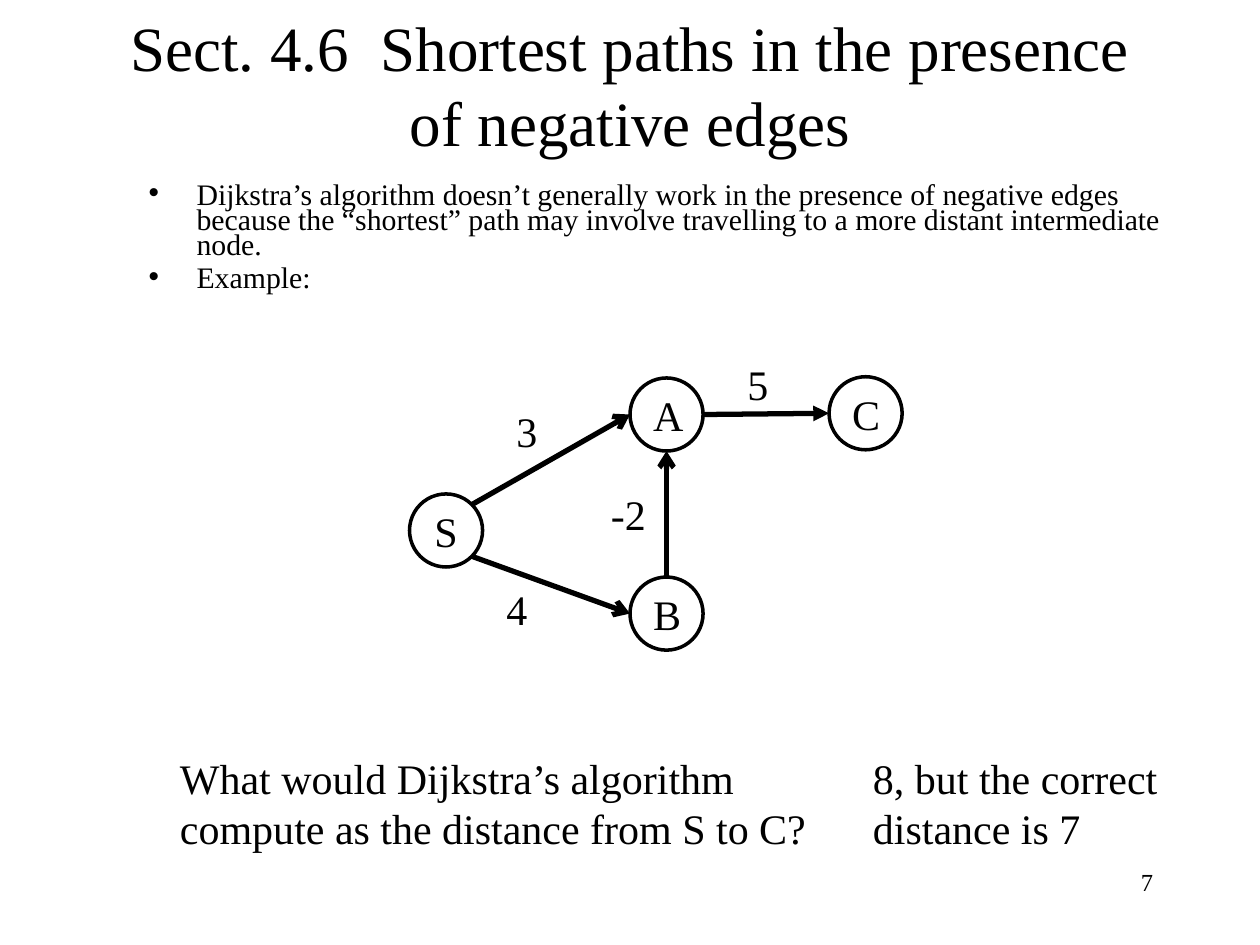
from math import cos, radians, sin

from pptx import Presentation
from pptx.dml.color import RGBColor
from pptx.enum.shapes import MSO_CONNECTOR, MSO_SHAPE
from pptx.enum.text import MSO_ANCHOR, MSO_AUTO_SIZE, PP_ALIGN
from pptx.oxml.xmlchemy import OxmlElement
from pptx.util import Inches, Pt

BLACK = "000000"
WHITE = "FFFFFF"
NODE_SIZE = 0.58
NODES = {"A": (1.75, 0.2), "B": (1.75, 1.78), "S": (0, 1.12), "C": (3.33, 0.19)}
EDGES = [
    ("S", -45, "A", 180, "arrow"),
    ("B", -90, "A", 90, "arrow"),
    ("S", 45, "B", 180, "arrow"),
    ("A", 0, "C", 180, "triangle"),
]
WEIGHTS = {"-2": (1.5, 1.03), "4": (0.67, 1.78), "3": (0.75, 0.37), " 5": (2.5, 0)}


def color(value):
    return RGBColor.from_string(value)


def set_attributes(target, values):
    for name, value in values.items():
        setattr(target, name, value)


def place(shape, box):
    names = ("left", "top", "width", "height")
    set_attributes(shape, dict(zip(names, map(Inches, box))))


def write(shape, lines, size, alignment=PP_ALIGN.LEFT, anchor=MSO_ANCHOR.TOP,
          auto_size=MSO_AUTO_SIZE.NONE, **paragraph_format):
    frame = shape.text_frame
    set_attributes(frame, {"word_wrap": True, "auto_size": auto_size,
                           "vertical_anchor": anchor})
    frame.text = "\n".join(lines)
    for paragraph in frame.paragraphs:
        set_attributes(paragraph, {"alignment": alignment, **paragraph_format})
        set_attributes(paragraph.font, {"name": "Times New Roman", "size": Pt(size)})
        paragraph.font.color.rgb = color(BLACK)


def add_text(slide, box, text, size=24, **text_format):
    shape = slide.shapes.add_textbox(*map(Inches, box))
    write(shape, [text], size, **text_format)


def fill_title(slide, box):
    title = slide.shapes.title
    place(title, box)
    write(title, ["Sect. 4.6  Shortest paths in the presence of negative edges"], 36,
          alignment=PP_ALIGN.CENTER, anchor=MSO_ANCHOR.MIDDLE)


def fill_body(slide, box):
    body = slide.placeholders[1]
    place(body, box)
    lines = [
        "Dijkstra’s algorithm doesn’t generally work in the presence of negative edges "
        "because the “shortest” path may involve travelling to a more distant "
        "intermediate node.",
        "Example:",
    ]
    write(body, lines, 17, line_spacing=0.7, space_before=Pt(5))
    for paragraph in body.text_frame.paragraphs:
        properties = paragraph._p.get_or_add_pPr()
        properties.set("marL", str(Inches(0.38)))
        properties.set("indent", str(Inches(-0.38)))


def add_node(slide, box, name):
    node = slide.shapes.add_shape(MSO_SHAPE.OVAL, *map(Inches, box))
    node.shadow.inherit = False
    node.fill.solid()
    node.fill.fore_color.rgb = color(WHITE)
    node.line.color.rgb = color(BLACK)
    node.line.width = Pt(2)
    write(node, [name], 24, alignment=PP_ALIGN.CENTER, anchor=MSO_ANCHOR.MIDDLE)


def rim_point(left, top, name, angle):
    x, y = NODES[name]
    radius = NODE_SIZE / 2
    return (Inches(left + x + radius + radius * cos(radians(angle))),
            Inches(top + y + radius + radius * sin(radians(angle))))


def add_edge(slide, start, end, head):
    edge = slide.shapes.add_connector(MSO_CONNECTOR.STRAIGHT, *start, *end)
    edge.line.color.rgb = color(BLACK)
    edge.line.width = Pt(3)
    tail = OxmlElement("a:tailEnd")
    tail.set("type", head)
    edge.line._get_or_add_ln().append(tail)
    edge._element.spPr.append(OxmlElement("a:effectLst"))


def add_graph(slide, left, top):
    for name, (x, y) in NODES.items():
        add_node(slide, (left + x, top + y, NODE_SIZE, NODE_SIZE), name)
    for source, source_angle, target, target_angle, head in EDGES:
        add_edge(slide, rim_point(left, top, source, source_angle),
                 rim_point(left, top, target, target_angle), head)
    for weight, (x, y) in WEIGHTS.items():
        add_text(slide, (left + x, top + y, 0.5, 0.5), weight,
                 auto_size=MSO_AUTO_SIZE.SHAPE_TO_FIT_TEXT)


def add_question(slide, left, top):
    texts = [
        (0, 5.25, "What would Dijkstra’s algorithm compute as the distance from S to C?"),
        (5.5, 2.67, "8, but the correct distance is 7"),
    ]
    for offset, width, text in texts:
        add_text(slide, (left + offset, top, width, 0.9), text,
                 auto_size=MSO_AUTO_SIZE.SHAPE_TO_FIT_TEXT)


def main():
    presentation = Presentation()
    presentation.slide_width = Inches(10)
    presentation.slide_height = Inches(7.5)
    slide = presentation.slides.add_slide(presentation.slide_layouts[1])
    fill_title(slide, (0.75, 0.25, 8.5, 0.83))
    fill_body(slide, (1.08, 1.42, 8.5, 1.25))
    add_text(slide, (7.17, 6.83, 2.08, 0.5), "7", 14, alignment=PP_ALIGN.RIGHT)
    add_graph(slide, 3.25, 2.8)
    add_question(slide, 1.33, 5.92)
    presentation.save("out.pptx")


if __name__ == "__main__":
    main()
